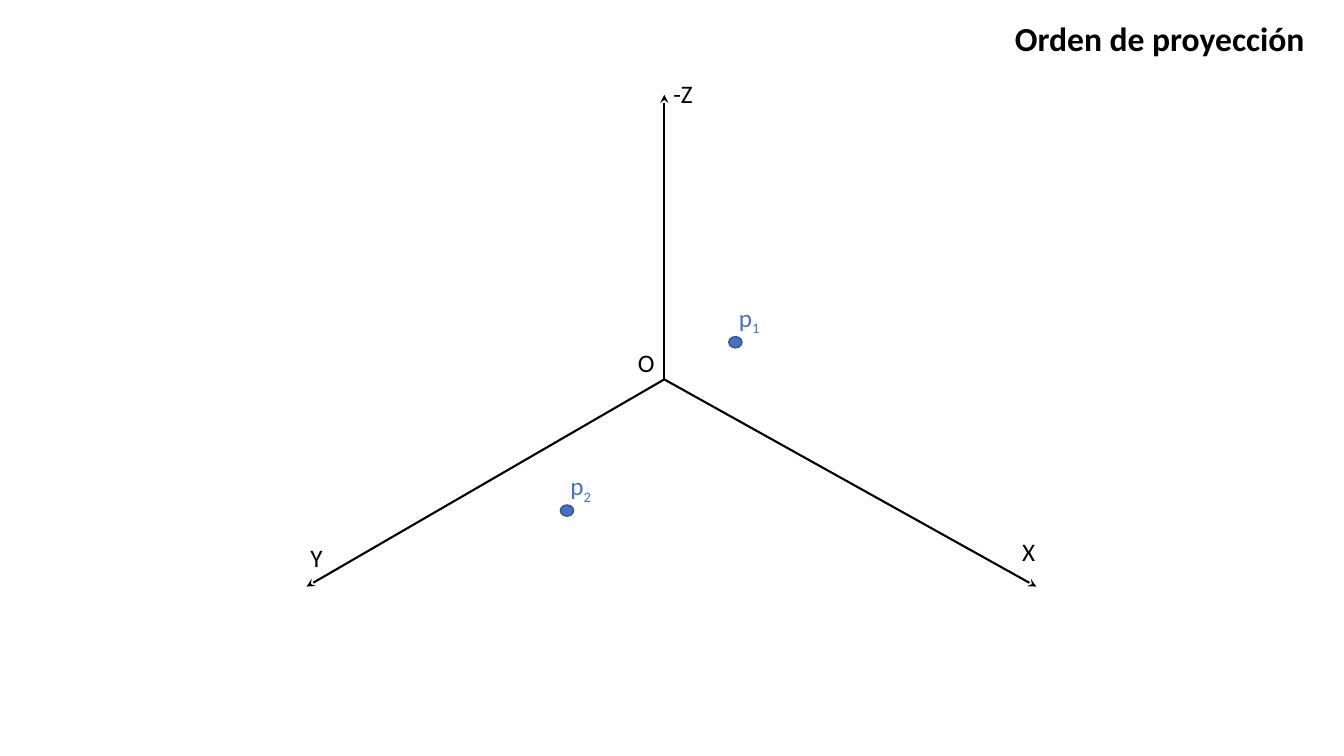
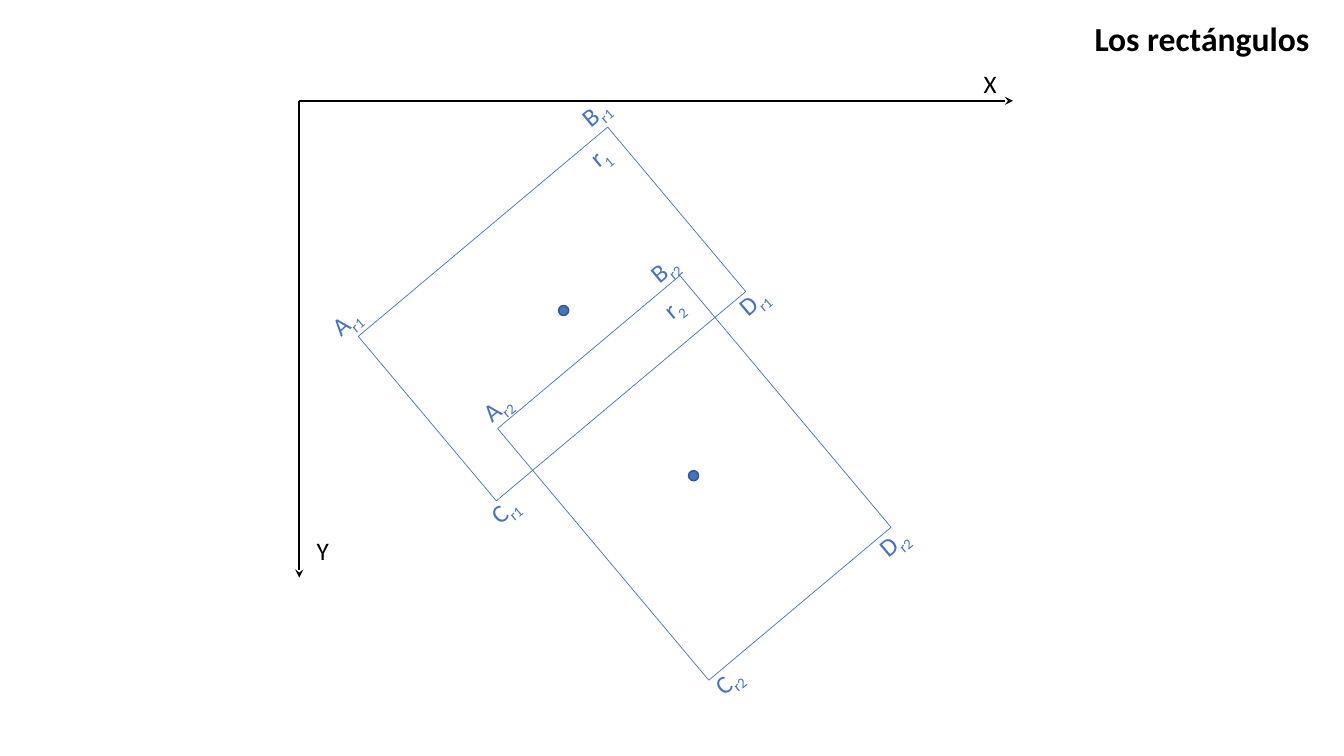
from lxml.etree import SubElement
from pptx import Presentation
from pptx.dml.color import RGBColor
from pptx.enum.shapes import MSO_CONNECTOR as CONN, MSO_SHAPE as SHAPE
from pptx.oxml.ns import qn
from pptx.util import Pt


def rgb(value):
    return RGBColor.from_string(value)


class Deck:
    FONT = "Calibri"
    BLACK, BLUE, EDGE = "000000", "4472C4", "325491"
    TILT = 320

    def __init__(self):
        self.prs = Presentation()
        self.prs.slide_width, self.prs.slide_height = Pt(960), Pt(540)
        self.s = None

    def slide(self, title, x, w):
        self.s = self.prs.slides.add_slide(self.prs.slide_layouts[6])
        p = self.box(x, 9.4, w, 36, wrap=False)
        self.run(p, title, self.BLACK, 24, bold=True)

    def box(self, x, y, w, h, rotation=0, wrap=True):
        sp = self.s.shapes.add_textbox(Pt(x), Pt(y), Pt(w), Pt(h))
        sp.rotation = rotation
        sp.text_frame.word_wrap = wrap
        return sp.text_frame.paragraphs[0]

    def run(self, p, text, color, size=18, bold=False, sub=False):
        r = p.add_run()
        r.text = text
        r.font.name, r.font.size, r.font.bold = self.FONT, Pt(size), bold
        r.font.color.rgb = rgb(color)
        if sub:
            r._r.get_or_add_rPr().set("baseline", "-25000")

    def label(self, text, x, y, sub="", color=BLACK, w=40, rotation=0):
        p = self.box(x, y, w, 29, rotation)
        self.run(p, text, color)
        if sub:
            self.run(p, sub, color, sub=True)

    def axis(self, start, tip):
        line = self.s.shapes.add_connector(
            CONN.STRAIGHT, *(Pt(v) for v in (*start, *tip)))
        line.line.color.rgb = rgb(self.BLACK)
        line.line.width = Pt(1.5)
        SubElement(line.line._get_or_add_ln(), qn("a:tailEnd"), type="stealth")
        SubElement(line._element.spPr, qn("a:effectLst"))

    def shape(self, kind, x, y, w, h, line, weight, fill=None, rotation=0):
        sp = self.s.shapes.add_shape(kind, Pt(x), Pt(y), Pt(w), Pt(h))
        sp.shadow.inherit = False
        sp.rotation = rotation
        if fill:
            sp.fill.solid()
            sp.fill.fore_color.rgb = rgb(fill)
        else:
            sp.fill.background()
        sp.line.color.rgb = rgb(line)
        sp.line.width = Pt(weight)

    def dot(self, x, y, w, h):
        self.shape(SHAPE.OVAL, x, y, w, h, self.EDGE, 1, fill=self.BLUE)

    def rectangle(self, number, frame, name_at, corners):
        self.shape(SHAPE.RECTANGLE, *frame, self.BLUE, 0.5, rotation=self.TILT)
        self.label("r", *name_at, number, self.BLUE, 52, self.TILT)
        for letter, at in zip("ABCD", corners):
            self.label(letter, *at, "r" + number, self.BLUE,
                       rotation=self.TILT)


def main():
    deck = Deck()

    # Slide 1: three axes and two points
    deck.slide("Orden de proyección", 717.8, 223)
    center = (474.5, 271)
    for tip in ((474.5, 67.7), (219, 419), (740.2, 419)):
        deck.axis(center, tip)
    for text, x, y in (("-Z", 473.8, 52.6), ("Y", 214.6, 383.8),
                       ("X", 723, 379.4), ("O", 448.6, 244.8)):
        deck.label(text, x, y)
    for number, x, y in (("1", 520.6, 240.5), ("2", 400.3, 360.7)):
        deck.dot(x, y, 9.4, 8)
        deck.label("p", x, y - 28, number, deck.BLUE)

    # Slide 2: two tilted rectangles on plane axes
    deck.slide("Los rectángulos", 774.7, 170)
    corner = (213.8, 72)
    deck.axis(corner, (213.8, 412.6))
    deck.axis(corner, (723.6, 72))
    deck.label("Y", 219, 378.7)
    deck.label("X", 695.5, 45.4)
    deck.rectangle("1", (278, 147.6, 232.6, 153.4), (411.8, 88.6),
                   ((229, 213), (407.5, 63.4), (342.7, 347), (519.8, 198.7)))
    deck.rectangle("2", (411, 224, 170, 234.7), (464.4, 196.6),
                   ((337, 274.3), (456.5, 175), (502.6, 469.4), (620, 370.8)))
    for x, y in ((399, 218.2), (491.8, 336.2)):
        deck.dot(x, y, 7.2, 7.2)

    deck.prs.save("out.pptx")


if __name__ == "__main__":
    main()
